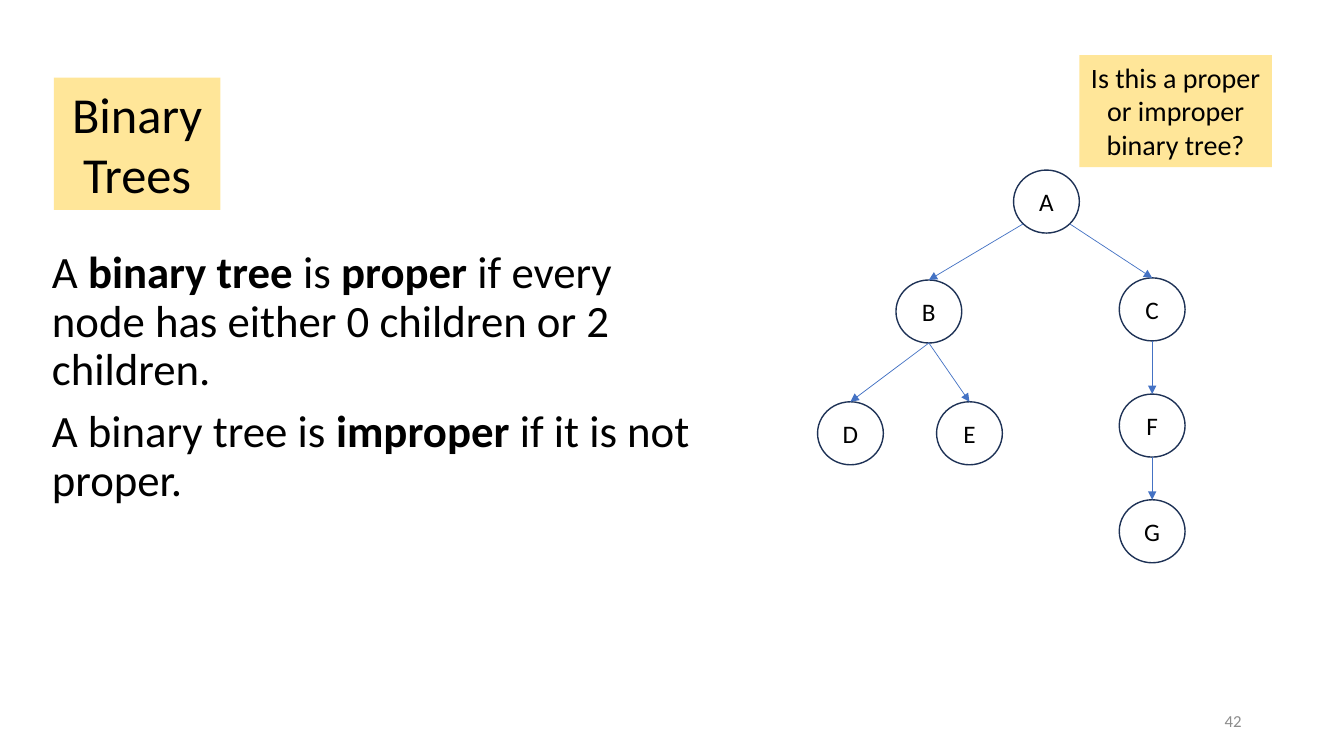
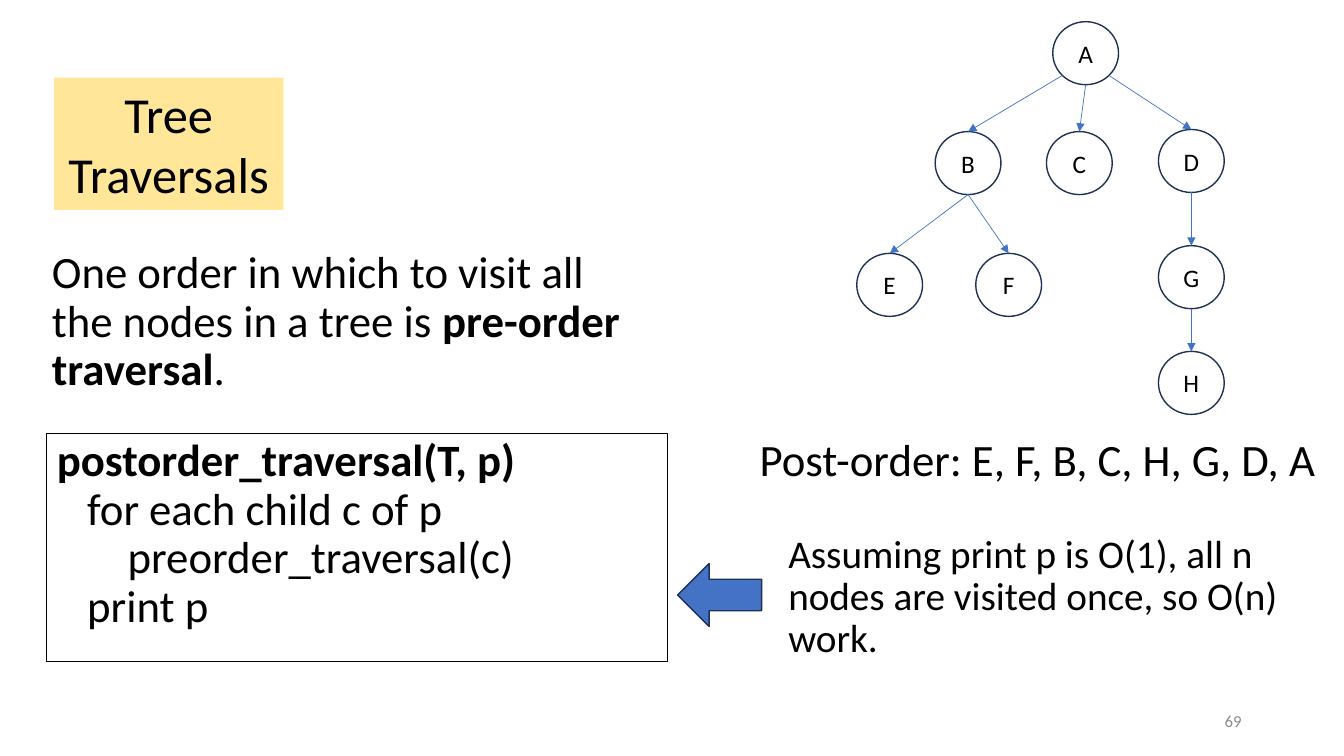
import math
from dataclasses import dataclass

import lxml.etree
import pptx
import pptx.dml.color
import pptx.enum.shapes
import pptx.enum.text
import pptx.oxml.ns
import pptx.util

Pt = pptx.util.Pt
ALIGN = pptx.enum.text.PP_ALIGN
ANCHOR = pptx.enum.text.MSO_ANCHOR
SHAPE = pptx.enum.shapes.MSO_SHAPE


@dataclass(frozen=True)
class Theme:
    font: str = "Calibri"
    ink: str = "000000"
    highlight: str = "FFE699"
    accent: str = "4472C4"
    outline: str = "1E3256"
    muted: str = "8C8C8C"
    title_size: float = 36
    body_size: float = 32
    remark_size: float = 28
    callout_size: float = 20
    node_size: float = 18
    number_size: float = 12
    body_spacing: float = 0.9


THEME = Theme()

# Tree geometry: node size, and node centres measured from the root's centre
NODE_WIDTH, NODE_HEIGHT = 47, 45
SPOTS = {
    "root": (0, 0),
    "left": (-84, 78.5),
    "middle": (-4.5, 78.5),
    "right": (75.5, 77),
    "left outer": (-140, 165.5),
    "left inner": (-55, 165.5),
    "right lower": (75.5, 160),
    "right lowest": (75.5, 235.5),
}
# Parent, child, and the side of the parent's lower edge the arrow leaves from
EDGES = [
    ("root", "left", -1),
    ("root", "middle", 0),
    ("root", "right", 1),
    ("left", "left outer", 0),
    ("left", "left inner", 0),
    ("right", "right lower", 0),
    ("right lower", "right lowest", 0),
]


def rgb(value):
    return pptx.dml.color.RGBColor.from_string(value)


def write_text(shape, lines, size, color=THEME.ink, align=ALIGN.LEFT,
               anchor=ANCHOR.TOP, spacing=1.0, gap=0):
    """Write one paragraph per line; text between ** marks is bold."""
    frame = shape.text_frame
    frame.word_wrap = True
    frame.auto_size = pptx.enum.text.MSO_AUTO_SIZE.NONE
    frame.vertical_anchor = anchor
    for index, line in enumerate(lines):
        para = frame.add_paragraph() if index else frame.paragraphs[0]
        para.alignment = align
        para.line_spacing = spacing
        para.space_before = Pt(gap if index else 0)
        para.font.name = THEME.font
        para.font.size = Pt(size)
        para.font.color.rgb = rgb(color)
        for part, text in enumerate(line.split("**")):
            if text:
                span = para.add_run()
                span.text = text
                if part % 2:
                    span.font.bold = True


def add_box(page, kind, box, fill=None, line=None, weight=1):
    shape = page.shapes.add_shape(kind, *map(Pt, box))
    shape.shadow.inherit = False
    if fill:
        shape.fill.solid()
        shape.fill.fore_color.rgb = rgb(fill)
    else:
        shape.fill.background()
    if line:
        shape.line.color.rgb = rgb(line)
        shape.line.width = Pt(weight)
    else:
        shape.line.fill.background()
    return shape


def add_body(page, box, lines, size=THEME.body_size):
    body = page.shapes.add_textbox(*map(Pt, box))
    write_text(body, lines, size, spacing=THEME.body_spacing, gap=10)


def add_page(deck, title_text, title_width, number):
    """Title-only page with the highlighted title and the page number."""
    page = deck.slides.add_slide(deck.slide_layouts[5])
    title = page.shapes.title
    title.left, title.top = Pt(38.5), Pt(55.5)
    title.width, title.height = Pt(title_width), Pt(94.5)
    title.fill.solid()
    title.fill.fore_color.rgb = rgb(THEME.highlight)
    write_text(title, [title_text], THEME.title_size, align=ALIGN.CENTER)

    footer = page.shapes.add_textbox(Pt(678), Pt(500.5), Pt(216), Pt(29))
    write_text(footer, [number], THEME.number_size, THEME.muted,
               ALIGN.RIGHT, ANCHOR.MIDDLE)
    return page


def add_node(page, center_x, center_y, label):
    box = (center_x - NODE_WIDTH / 2, center_y - NODE_HEIGHT / 2,
           NODE_WIDTH, NODE_HEIGHT)
    node = add_box(page, SHAPE.OVAL, box, line=THEME.outline)
    frame = node.text_frame
    frame.margin_left = frame.margin_right = 0
    frame.margin_top = frame.margin_bottom = 0
    write_text(node, [label], THEME.node_size, align=ALIGN.CENTER,
               anchor=ANCHOR.MIDDLE)
    return node


def add_arrow(page, start_x, start_y, child):
    arrow = page.shapes.add_connector(
        pptx.enum.shapes.MSO_CONNECTOR.STRAIGHT,
        Pt(start_x), Pt(start_y), child.left, child.top)
    arrow.end_connect(child, 0)
    arrow.line.color.rgb = rgb(THEME.accent)
    arrow.line.width = Pt(0.5)
    qn = pptx.oxml.ns.qn
    # Arrowhead, and no shadow
    lxml.etree.SubElement(arrow.line._get_or_add_ln(), qn("a:tailEnd"),
                          type="triangle")
    lxml.etree.SubElement(arrow._element.spPr, qn("a:effectLst"))


def add_tree(page, root_x, root_y, labels):
    """Draw the labelled spots and the arrows between them."""
    nodes = {}
    for spot, label in labels.items():
        offset_x, offset_y = SPOTS[spot]
        nodes[spot] = add_node(page, root_x + offset_x, root_y + offset_y, label)
    for parent, child, side in EDGES:
        if child in nodes:
            angle = math.radians(90 - 45 * side)
            offset_x, offset_y = SPOTS[parent]
            add_arrow(page,
                      root_x + offset_x + NODE_WIDTH / 2 * math.cos(angle),
                      root_y + offset_y + NODE_HEIGHT / 2 * math.sin(angle),
                      nodes[child])


def build_binary_trees(deck):
    page = add_page(deck, "Binary Trees", 119, "42")
    add_body(page, (30, 175, 474.5, 273), [
        "A **binary tree **is **proper** if every node has either "
        "0 children or 2 children.",
        "A binary tree is **improper** if it is not proper.",
    ])
    add_tree(page, 747.5, 144, {
        "root": "A", "left": "B", "right": "C", "left outer": "D",
        "left inner": "E", "right lower": "F", "right lowest": "G",
    })
    # Question beside the tree
    callout = add_box(page, SHAPE.RECTANGLE, (771, 39.5, 137.5, 80),
                      fill=THEME.highlight)
    write_text(callout, ["Is this a proper or improper binary tree?"],
               THEME.callout_size, align=ALIGN.CENTER)


def build_tree_traversals(deck):
    page = add_page(deck, "Tree Traversals", 164, "69")
    add_body(page, (30, 175, 424, 114), [
        "One order in which to visit all the nodes in a tree is "
        "**pre-order traversal**.",
    ])
    add_tree(page, 775.5, 38, {
        "root": "A", "left": "B", "middle": "C", "right": "D",
        "left outer": "E", "left inner": "F", "right lower": "G",
        "right lowest": "H",
    })
    add_body(page, (535.5, 309.5, 424, 66),
             ["Post-order: E, F, B, C, H, G, D, A"])
    # Pseudocode
    code = add_box(page, SHAPE.RECTANGLE, (33.5, 309.5, 443, 163),
                   line=THEME.ink, weight=0.75)
    write_text(code, [
        "**postorder_traversal(T, p)**",
        "   for each child c of p",
        "       preorder_traversal(c)",
        "   print p",
    ], THEME.body_size, spacing=THEME.body_spacing)
    # Running time
    add_box(page, SHAPE.LEFT_ARROW, (484, 402.5, 60, 45),
            fill=THEME.accent, line=THEME.outline)
    add_body(page, (556, 378, 371, 113), [
        "Assuming print p is O(1), all n nodes are visited once, "
        "so O(n) work.",
    ], THEME.remark_size)


def main():
    deck = pptx.Presentation()
    deck.slide_width, deck.slide_height = Pt(960), Pt(540)
    build_binary_trees(deck)
    build_tree_traversals(deck)
    deck.save("out.pptx")


if __name__ == "__main__":
    main()
